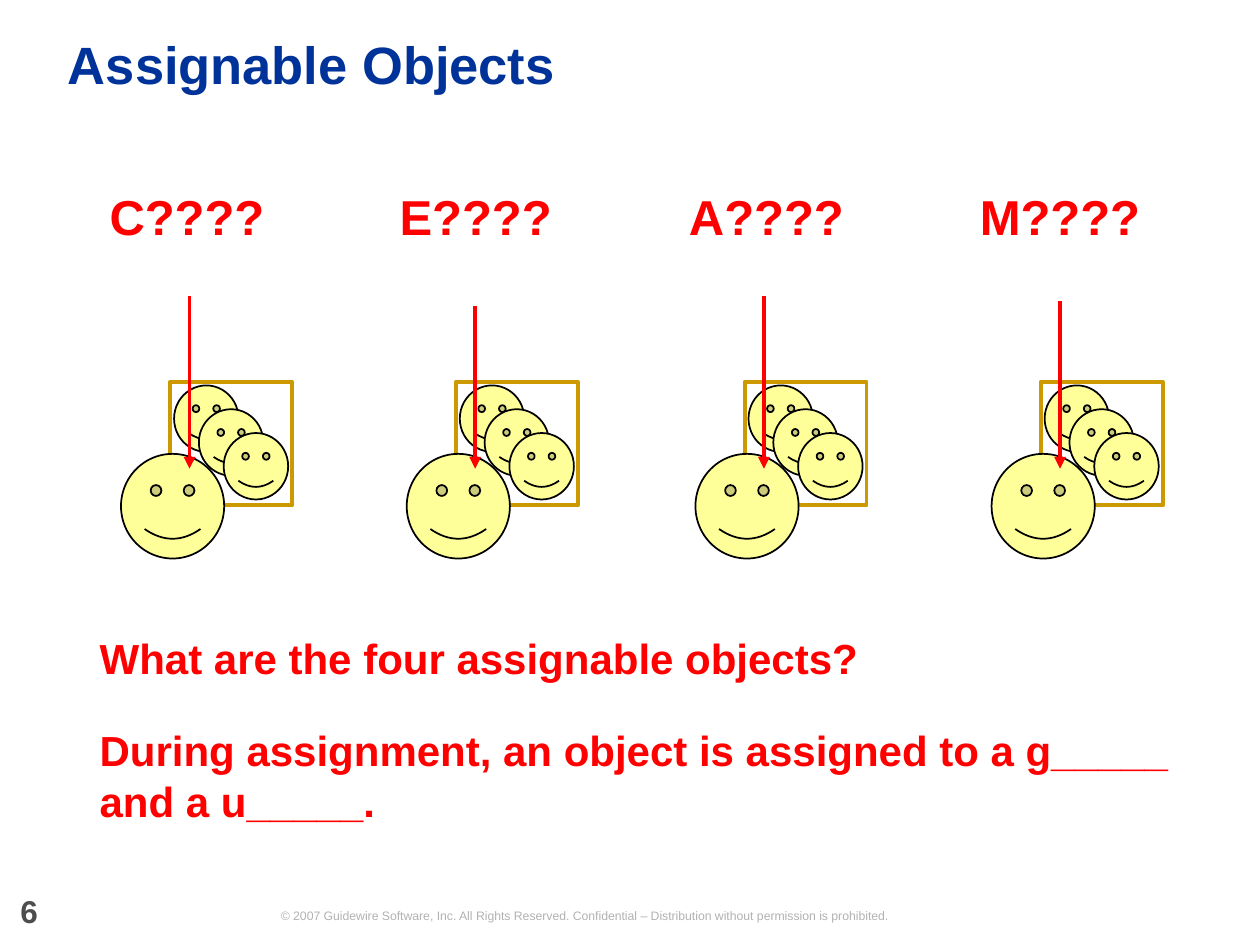
from dataclasses import dataclass

from lxml import etree
from pptx import Presentation
from pptx.dml.color import RGBColor
from pptx.enum.shapes import MSO_CONNECTOR, MSO_SHAPE
from pptx.enum.text import MSO_ANCHOR, MSO_AUTO_SIZE, PP_ALIGN
from pptx.oxml.ns import qn
from pptx.util import Cm, Pt

LEFT, CENTER = PP_ALIGN.LEFT, PP_ALIGN.CENTER
TOP, MIDDLE = MSO_ANCHOR.TOP, MSO_ANCHOR.MIDDLE
GROW, FIXED = MSO_AUTO_SIZE.SHAPE_TO_FIT_TEXT, MSO_AUTO_SIZE.NONE
FACE, FRAME = MSO_SHAPE.SMILEY_FACE, MSO_SHAPE.RECTANGLE
STRAIGHT = MSO_CONNECTOR.STRAIGHT

FONT = "Arial"
RED, NAVY, BLACK = "FF0000", "003399", "000000"
YELLOW, GOLD = "FFFF99", "CC9900"
DARK_GRAY, LIGHT_GRAY = "4D4D4D", "B2B2B2"

CREW_TOP = 7.7
ARROW_OFFSET, ARROW_END = 1.38, 9.45
LABEL_TOP, LABEL_WIDTH, LABEL_HEIGHT = 3.76, 4.34, 1.19


@dataclass
class Assignable:
    """One object with its label, arrow and crew of faces; lengths in cm."""
    label: str
    label_left: float
    crew_left: float
    arrow_top: float


@dataclass
class Part:
    """A piece of a crew, placed from the crew's top left corner in cm."""
    kind: int
    left: float
    top: float
    width: float
    height: float


ASSIGNABLES = [
    Assignable("C????", 1.6, 2.44, 5.97),
    Assignable("E????", 7.42, 8.2, 6.17),
    Assignable("A????", 13.28, 14.02, 5.97),
    Assignable("M????", 19.2, 19.99, 6.07),
]

# Back to front: two members, the frame, the third member, the large face
MEMBERS = [Part(FACE, 1.07 + 0.5 * i, 0.07 + 0.48 * i, 1.3, 1.34) for i in range(3)]
CREW = [
    *MEMBERS[:2],
    Part(FRAME, 0.99, 0, 2.46, 2.49),
    MEMBERS[2],
    Part(FACE, 0, 1.45, 2.08, 2.11),
]


def color(value: str) -> RGBColor:
    return RGBColor.from_string(value)


def write(shape, *texts: str, size: float, ink: str, bold: bool = True,
          align=LEFT, anchor=TOP, fit=FIXED, gap: float = 0, line_spacing=None) -> None:
    """Fill a shape with one paragraph per text, gap points apart."""
    frame = shape.text_frame
    frame.word_wrap = True
    frame.auto_size = fit
    frame.vertical_anchor = anchor
    frame.margin_left = frame.margin_right = 0
    frame.margin_top = frame.margin_bottom = 0
    for index, text in enumerate(texts):
        para = frame.add_paragraph() if index else frame.paragraphs[0]
        para.alignment = align
        para.line_spacing = line_spacing
        para.space_before = Pt(gap if index else 0)
        span = para.add_run()
        span.text = text
        span.font.name = FONT
        span.font.size = Pt(size)
        span.font.bold = bold
        span.font.color.rgb = color(ink)


def add_text(page, left: float, top: float, width: float, height: float,
             *texts: str, **style) -> None:
    box = page.shapes.add_textbox(Cm(left), Cm(top), Cm(width), Cm(height))
    write(box, *texts, **style)


def add_crew(page, left: float, top: float) -> None:
    group = page.shapes.add_group_shape()
    for part in CREW:
        shape = group.shapes.add_shape(part.kind, Cm(left + part.left), Cm(top + part.top),
                                       Cm(part.width), Cm(part.height))
        shape.shadow.inherit = False
        if part.kind == FACE:
            shape.fill.solid()
            shape.fill.fore_color.rgb = color(YELLOW)
            ink, weight = BLACK, 1
        else:
            shape.fill.background()
            ink, weight = GOLD, 2.25
        shape.line.color.rgb = color(ink)
        shape.line.width = Pt(weight)


def add_down_arrow(page, left: float, top: float, bottom: float) -> None:
    arrow = page.shapes.add_connector(STRAIGHT, Cm(left), Cm(top), Cm(left), Cm(bottom))
    arrow.line.color.rgb = color(RED)
    arrow.line.width = Pt(2.25)
    etree.SubElement(arrow.line._get_or_add_ln(), qn("a:tailEnd"), type="triangle")
    etree.SubElement(arrow._element.spPr, qn("a:effectLst"))


def main() -> None:
    deck = Presentation()
    deck.slide_width, deck.slide_height = Cm(25.4), Cm(19.05)
    page = deck.slides.add_slide(deck.slide_layouts[5])

    # Title
    title = page.shapes.title
    title.left, title.top, title.width, title.height = Cm(1.37), Cm(0.33), Cm(23.11), Cm(2.06)
    write(title, "Assignable Objects", size=30, ink=NAVY, anchor=MIDDLE, line_spacing=0.9)

    # Footer and page number
    add_text(page, 3.02, 18.31, 17.53, 0.3,
             "© 2007 Guidewire Software, Inc. All Rights Reserved. "
             "Confidential – Distribution without permission is prohibited.",
             size=7, ink=LIGHT_GRAY, bold=False, align=CENTER, anchor=MIDDLE, fit=GROW)
    add_text(page, 0.41, 18.11, 1.45, 0.64, "6",
             size=18, ink=DARK_GRAY, line_spacing=Pt(18))

    # Assignable objects
    for item in ASSIGNABLES:
        add_crew(page, item.crew_left, CREW_TOP)
        add_down_arrow(page, item.crew_left + ARROW_OFFSET, item.arrow_top, ARROW_END)
        add_text(page, item.label_left, LABEL_TOP, LABEL_WIDTH, LABEL_HEIGHT, item.label,
                 size=28, ink=RED, align=CENTER, fit=GROW)

    # Review questions
    add_text(page, 2.01, 12.75, 21.97, 3.89,
             "What are the four assignable objects?",
             "During assignment, an object is assigned to a g_____ and a u_____.",
             size=24, ink=RED, fit=GROW, gap=24)

    deck.save("out.pptx")


if __name__ == "__main__":
    main()
